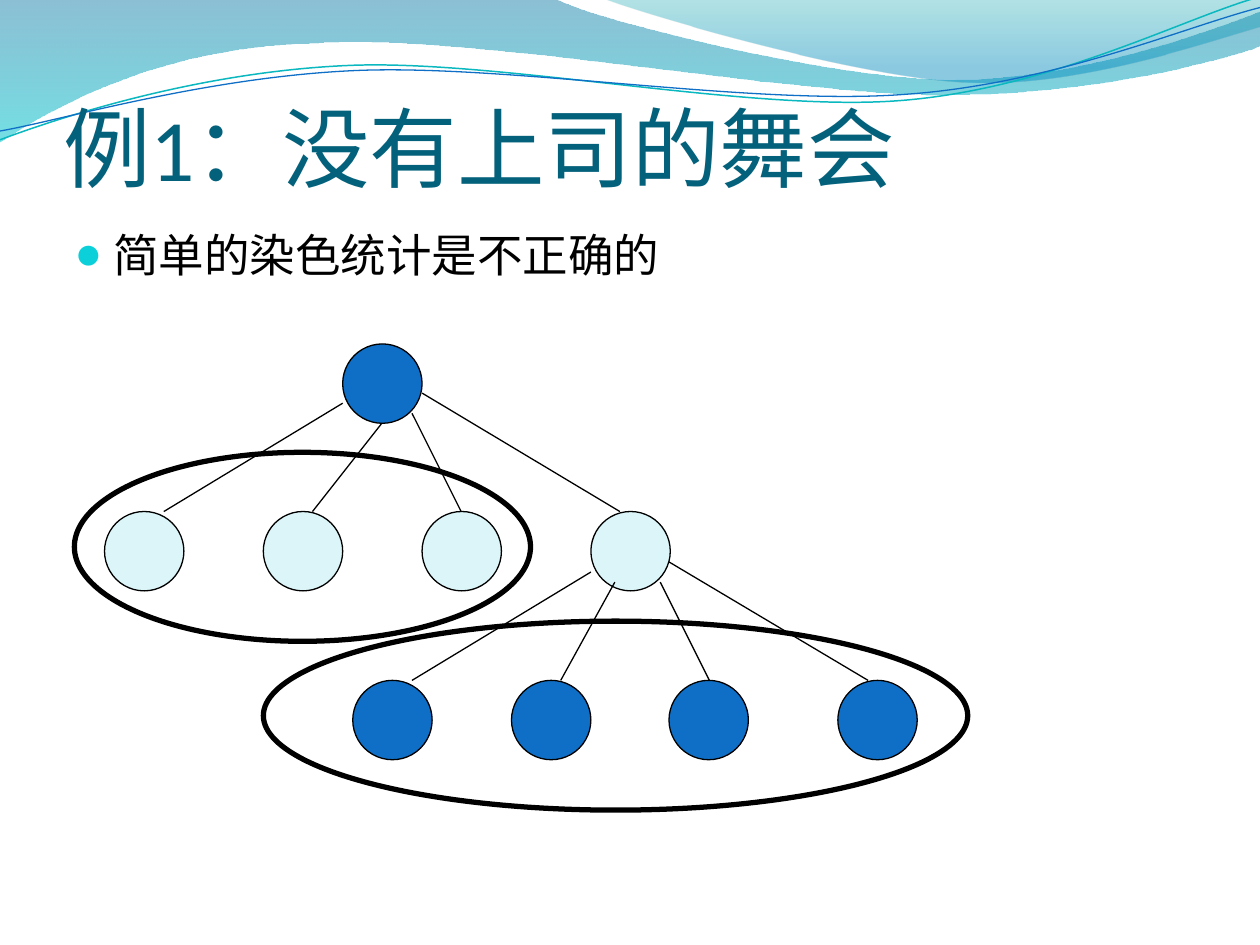
from lxml.etree import SubElement
from pptx import Presentation
from pptx.dml.color import RGBColor
from pptx.enum.shapes import MSO_CONNECTOR, MSO_SHAPE
from pptx.enum.text import MSO_ANCHOR, MSO_AUTO_SIZE, PP_ALIGN
from pptx.oxml.ns import qn
from pptx.util import Inches, Pt

COLORS = {"title": "04617B", "text": "000000", "bullet": "0BD0D9", "dark": "0F6FC6",
          "light": "DBF5F9", "line": "000000", "teal": "0AB8BF"}
TITLE = "例1：没有上司的舞会"
BODY = "简单的染色统计是不正确的"

BANDS = [
    ([(0, 0), (4.4, -0.01), (4.76, 0.17, 6.64, 0.63, 7.58, 0.63),
      (8.53, 0.63, 9.58, 0.26, 10, 0.09), (10.01, 0.36),
      (9.83, 0.44, 8.7, 0.76, 7.46, 0.75), (6.22, 0.75, 3.82, 0.28, 2.57, 0.34),
      (1.29, 0.36, 0.46, 0.83, -0.01, 1.13)],
     [(0, "0074A1", 45), (1, "00C6CF", 55)]),
    ([(4.79, -0.01), (5.09, 0.11, 6.82, 0.62, 7.69, 0.65),
      (8.56, 0.69, 9.61, 0.32, 10, 0.21), (10, 0)],
     [(0, "00A1A9", 30), (0.8, "008BBF", 45)]),
]
WAVES = [
    ([(0, 1.11), (0.48, 0.93, 1.58, 0.57, 2.77, 0.52), (3.95, 0.47, 5.93, 0.89, 7.13, 0.8),
      (8.33, 0.71, 9.38, 0.15, 9.98, -0.02)], "teal", 0.85),
    ([(0, 1.04), (0.47, 0.96, 1.64, 0.61, 2.83, 0.56), (4.03, 0.51, 5.97, 0.84, 7.17, 0.75),
      (8.36, 0.67, 9.41, 0.21, 10, 0.06)], "dark", 0.75),
]
NODE = 0.63
LEVELS = [(2.73, "dark", [2.72]), (4.06, "light", [0.83, 2.09, 3.35, 4.69]),
          (5.4, "dark", [2.8, 4.06, 5.31, 6.65])]
EDGES = [
    (2.72, 3.2, 1.3, 4.06), (3.03, 3.36, 2.48, 4.06),
    (3.27, 3.28, 3.66, 4.06), (3.35, 3.12, 4.92, 4.06),
    (4.69, 4.54, 3.27, 5.4), (4.88, 4.62, 4.45, 5.4),
    (5.24, 4.62, 5.63, 5.4), (5.31, 4.46, 6.89, 5.4),
]
GROUPS = [(0.59, 3.59, 3.62, 1.5), (2.09, 4.93, 5.59, 1.5)]


def rgb(name):
    return RGBColor.from_string(COLORS[name])


def add_outline(s, steps, close):
    ends = [(Inches(step[-2]), Inches(step[-1])) for step in steps]
    fb = s.shapes.build_freeform(*ends[0])
    fb.add_line_segments(ends[1:], close=close)
    sp = fb.convert_to_shape()
    sp.shadow.inherit = False
    segments = list(sp.element.spPr.iter(qn("a:lnTo")))
    for seg, step in zip(segments, steps[1:]):
        if len(step) == 6:
            seg.tag = qn("a:cubicBezTo")
            for pt in list(seg):
                seg.remove(pt)
            for x, y in zip(step[::2], step[1::2]):
                SubElement(seg, qn("a:pt"), x=str(Inches(x) - sp.left), y=str(Inches(y) - sp.top))
    return sp


def set_line(sp, color, width):
    sp.line.color.rgb = rgb(color)
    sp.line.width = Pt(width)


def add_band(s, steps, stops):
    sp = add_outline(s, steps, True)
    sp.line.fill.background()
    sp.fill.gradient()
    sp.fill.gradient_angle = 270
    for stop, (pos, color, _) in zip(sp.fill.gradient_stops, stops):
        stop.position = pos
        stop.color.rgb = RGBColor.from_string(color)
    for clr, (_, _, alpha) in zip(sp.element.spPr.iter(qn("a:srgbClr")), stops):
        SubElement(clr, qn("a:alpha"), val=str(alpha * 1000))


def add_ellipse(s, box, fill, width):
    sp = s.shapes.add_shape(MSO_SHAPE.OVAL, *map(Inches, box))
    sp.shadow.inherit = False
    if fill:
        sp.fill.solid()
        sp.fill.fore_color.rgb = rgb(fill)
    else:
        sp.fill.background()
    set_line(sp, "line", width)


def add_edge(s, ends):
    cx = s.shapes.add_connector(MSO_CONNECTOR.STRAIGHT, *map(Inches, ends))
    set_line(cx, "line", 0.75)
    SubElement(cx.element.spPr, qn("a:effectLst"))


def write(tf, text, font, size, color):
    tf.word_wrap = True
    tf.auto_size = MSO_AUTO_SIZE.NONE
    tf.text = text
    p = tf.paragraphs[0]
    p.alignment = PP_ALIGN.LEFT
    f = p.runs[0].font
    f.name, f.size, f.color.rgb = font, Pt(size), rgb(color)
    return p


def add_body(s):
    sp = s.shapes.add_textbox(Inches(0.5), Inches(1.75), Inches(8.17), Inches(5.33))
    p = write(sp.text_frame, BODY, "Cambria", 26, "text")
    p.space_before = Pt(5.2)
    pPr = p._p.get_or_add_pPr()
    pPr.set("marL", str(Inches(0.3)))
    pPr.set("indent", str(-Inches(0.3)))
    SubElement(SubElement(pPr, qn("a:buClr")), qn("a:srgbClr"), val=COLORS["bullet"])
    SubElement(pPr, qn("a:buSzPct"), val="95000")
    SubElement(pPr, qn("a:buFont"), typeface="Calibri")
    SubElement(pPr, qn("a:buChar"), char="●")


def set_title(s):
    sp = s.shapes.title
    sp.left, sp.top, sp.width, sp.height = map(Inches, (0.5, 0.33, 9, 1.25))
    tf = sp.text_frame
    write(tf, TITLE, "Calibri", 50, "title")
    tf.vertical_anchor = MSO_ANCHOR.BOTTOM
    tf.margin_left = tf.margin_right = tf.margin_bottom = 0
    tf.margin_top = Inches(0.05)
    sp.element.getparent().append(sp.element)


def main():
    """Build the tree-colouring slide."""
    prs = Presentation()
    prs.slide_width, prs.slide_height = Inches(10), Inches(7.5)
    s = prs.slides.add_slide(prs.slide_layouts[5])
    for steps, stops in BANDS:
        add_band(s, steps, stops)
    for steps, color, width in WAVES:
        sp = add_outline(s, steps, False)
        sp.fill.background()
        set_line(sp, color, width)
    add_body(s)
    for top, fill, lefts in LEVELS:
        for left in lefts:
            add_ellipse(s, (left, top, NODE, NODE), fill, 0.75)
    for ends in EDGES:
        add_edge(s, ends)
    for box in GROUPS:
        add_ellipse(s, box, None, 3)
    set_title(s)
    prs.save("out.pptx")


if __name__ == "__main__":
    main()
